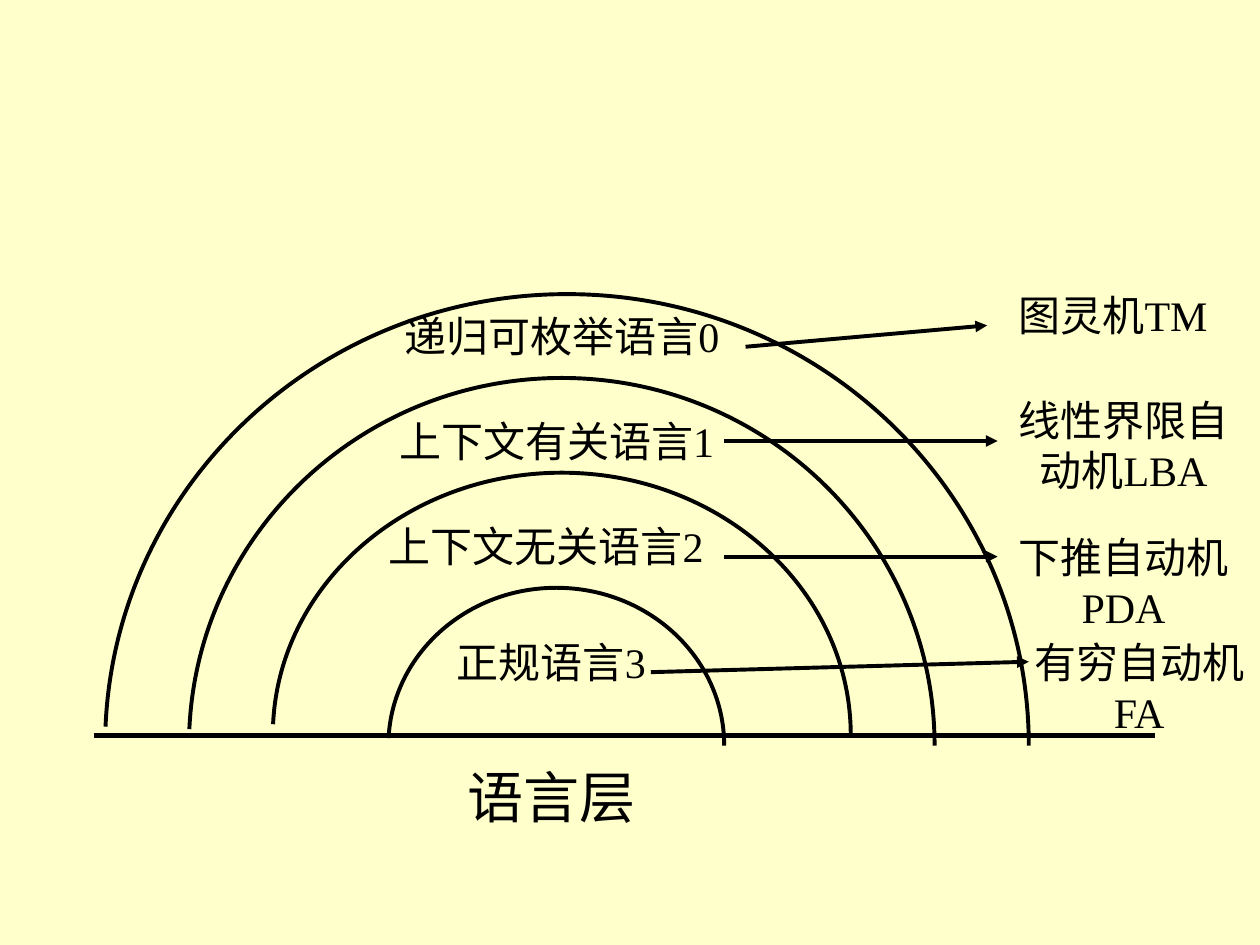
import math

import pptx
import pptx.dml.color
import pptx.enum.text
import pptx.enum.shapes
import pptx.oxml
import pptx.oxml.ns
import pptx.util

Cm = pptx.util.Cm
Pt = pptx.util.Pt
qn = pptx.oxml.ns.qn
DRAWING = pptx.oxml.ns.nsdecls("a")

BLACK = pptx.dml.color.RGBColor(0x00, 0x00, 0x00)
CREAM = pptx.dml.color.RGBColor(0xFF, 0xFF, 0xCC)
FONT = "Times New Roman"

# Content, lengths in centimetres
BASELINE = (1.9, 14.82, 23.28, 14.82)

# Arcs, inner to outer: left, right, top, left foot, right foot
ARCS = [
    (7.83, 14.6, 11.85, 14.88, 15.03),
    (5.5, 17.15, 9.53, 14.6, 14.82),
    (3.81, 18.84, 7.62, 14.7, 15.03),
    (2.12, 20.74, 5.93, 14.65, 15.03),
]

# Labels: text, left, top, width, height, size in points
LABELS = [
    ("语言层", 8.89, 15.24, 4.45, 1.63, 32),
    ("正规语言3", 8.89, 12.7, 4.45, 2.29, 24),
    ("上下文无关语言2", 7.41, 10.37, 7.2, 1.27, 24),
    ("上下文有关语言1", 7.62, 8.26, 7.2, 1.27, 24),
    ("递归可枚举语言0", 7.83, 6.14, 6.99, 2.29, 24),
    ("图灵机TM", 20.11, 5.72, 4.66, 1.27, 24),
    ("线性界限自动机LBA", 19.9, 7.83, 5.5, 2.29, 24),
    ("下推自动机PDA", 19.9, 10.58, 5.5, 2.29, 24),
    ("有穷自动机FA", 20.53, 12.7, 4.87, 2.29, 24),
]

# Arrows from language to automaton: start x, start y, end x, end y
ARROWS = [
    (15.03, 6.99, 19.9, 6.56),
    (14.6, 8.89, 20.11, 8.89),
    (14.6, 11.22, 20.11, 11.22),
    (13.12, 13.55, 20.74, 13.34),
]


def add_line(slide, ends, width, arrow=False):
    connector = slide.shapes.add_connector(
        pptx.enum.shapes.MSO_CONNECTOR.STRAIGHT, *[Cm(value) for value in ends])
    connector.line.color.rgb = BLACK
    connector.line.width = Pt(width)
    properties = connector._element.spPr
    if arrow:
        properties.find(qn("a:ln")).append(
            pptx.oxml.parse_xml(f'<a:tailEnd {DRAWING} type="triangle"/>'))
    properties.append(pptx.oxml.parse_xml(f"<a:effectLst {DRAWING}/>"))


def arc_points(left, right, top, left_foot, right_foot):
    """Start point, then two handles and an end point for each half."""
    center, radius_x = (left + right) / 2, (right - left) / 2
    radius_y = right_foot - top

    def on_ellipse(angle, handle=0):
        x = center - radius_x * (math.cos(angle) - handle * math.sin(angle))
        y = right_foot - radius_y * (math.sin(angle) + handle * math.cos(angle))
        return Cm(x), Cm(y)

    start = math.asin((right_foot - left_foot) / radius_y)
    points = [on_ellipse(start)]
    for begin, end in [(start, math.pi / 2), (math.pi / 2, math.pi)]:
        handle = 4 / 3 * math.tan((end - begin) / 4)
        points += [on_ellipse(begin, handle), on_ellipse(end, -handle),
                   on_ellipse(end)]
    return points


def add_arc(slide, *extents):
    start, *rest = arc_points(*extents)
    builder = slide.shapes.build_freeform(*start)
    builder.add_line_segments(rest, close=False)
    arc = builder.convert_to_shape()
    arc.shadow.inherit = False
    arc.fill.background()
    arc.line.color.rgb = BLACK
    arc.line.width = Pt(2.24)

    # Join each three straight segments into one curve
    outline = next(arc._element.iter(qn("a:path")))
    segments = outline.findall(qn("a:lnTo"))
    for first in range(0, len(segments), 3):
        curve = pptx.oxml.parse_xml(f"<a:cubicBezTo {DRAWING}/>")
        for segment in segments[first:first + 3]:
            curve.append(segment[0])
            outline.remove(segment)
        outline.append(curve)


def add_label(slide, text, left, top, width, height, size):
    label = slide.shapes.add_textbox(Cm(left), Cm(top), Cm(width), Cm(height))
    frame = label.text_frame
    frame.word_wrap = True
    frame.auto_size = pptx.enum.text.MSO_AUTO_SIZE.SHAPE_TO_FIT_TEXT
    frame.text = text
    paragraph = frame.paragraphs[0]
    paragraph.alignment = pptx.enum.text.PP_ALIGN.CENTER
    paragraph.space_before = Pt(size * 0.625)
    font = paragraph.runs[0].font
    font.name = FONT
    font.size = Pt(size)
    font.color.rgb = BLACK


# Slide
presentation = pptx.Presentation()
presentation.slide_width = Cm(25.4)
presentation.slide_height = Cm(19.05)
slide = presentation.slides.add_slide(presentation.slide_layouts[6])
slide.background.fill.solid()
slide.background.fill.fore_color.rgb = CREAM

# Diagram, back to front
add_line(slide, BASELINE, 3)
for arc in ARCS:
    add_arc(slide, *arc)
for label in LABELS:
    add_label(slide, *label)
for arrow in ARROWS:
    add_line(slide, arrow, 2.24, arrow=True)

presentation.save("out.pptx")
